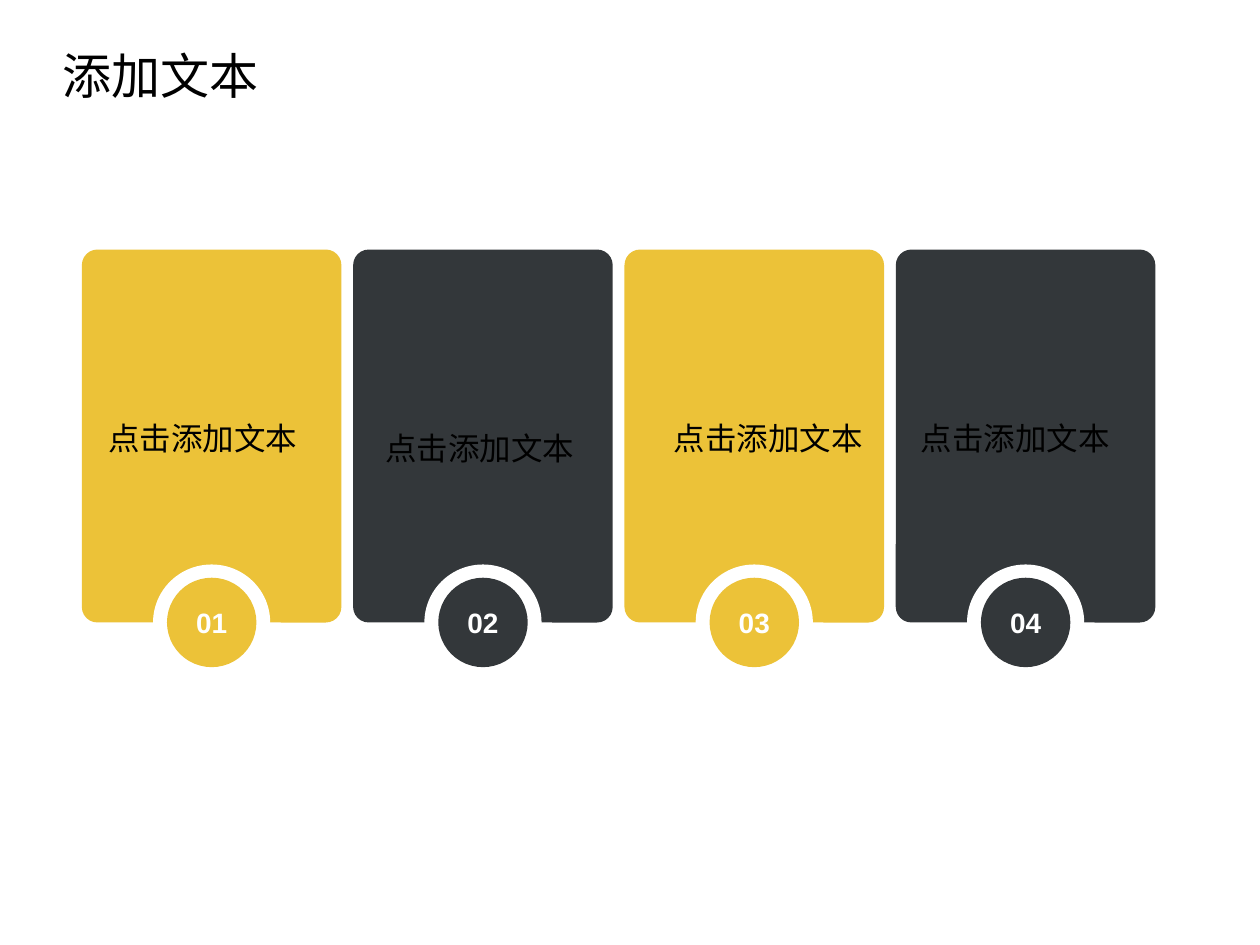
from dataclasses import dataclass

from pptx import Presentation
from pptx.dml.color import RGBColor
from pptx.enum.shapes import MSO_SHAPE
from pptx.enum.text import MSO_ANCHOR, MSO_AUTO_SIZE, PP_ALIGN
from pptx.oxml.ns import qn
from pptx.util import Inches, Pt

ROUND, OVAL = MSO_SHAPE.ROUNDED_RECTANGLE, MSO_SHAPE.OVAL
CENTER, MIDDLE = PP_ALIGN.CENTER, MSO_ANCHOR.MIDDLE
GROW = MSO_AUTO_SIZE.SHAPE_TO_FIT_TEXT


@dataclass(frozen=True)
class Theme:
    gold: str = "ECC238"
    dark: str = "33373A"
    white: str = "FFFFFF"
    black: str = "000000"
    title: int = 28
    label: int = 18
    number: int = 16
    latin: str = "Arial"
    han: str = "Noto Sans CJK SC"


class Deck:
    def __init__(self, slide, theme):
        self.slide = slide
        self.theme = theme

    def shape(self, parent, kind, mid_x, mid_y, width, height, color):
        """Draw a plain filled shape around its centre."""
        shape = parent.add_shape(
            kind, Inches(mid_x - width / 2), Inches(mid_y - height / 2),
            Inches(width), Inches(height))
        shape.shadow.inherit = False
        shape.fill.solid()
        shape.fill.fore_color.rgb = RGBColor.from_string(color)
        shape.line.fill.background()
        return shape

    def style(self, para, text, size, font, color, bold=False):
        para.text = text
        para.font.size = Pt(size)
        para.font.bold = bold
        para.font.color.rgb = RGBColor.from_string(color)
        para.font.name = font
        # East Asian text takes its typeface from a:ea
        props = para._p.pPr.find(qn("a:defRPr"))
        east = props.makeelement(qn("a:ea"), {"typeface": font})
        props.find(qn("a:latin")).addnext(east)

    def card(self, mid_x, mid_y, color):
        card = self.shape(self.slide.shapes, ROUND, mid_x, mid_y, 2.96, 2.06, color)
        card.adjustments[0] = 0.06
        card.rotation = 270

    def badge(self, mid_x, mid_y, number, color):
        group = self.slide.shapes.add_group_shape().shapes
        self.shape(group, OVAL, mid_x, mid_y, 0.93, 0.92, self.theme.white)
        dot = self.shape(group, OVAL, mid_x, mid_y, 0.71, 0.71, color)
        frame = dot.text_frame
        frame.vertical_anchor = MIDDLE
        para = frame.paragraphs[0]
        para.alignment = CENTER
        self.style(para, number, self.theme.number, self.theme.latin,
                   self.theme.white, bold=True)

    def text(self, left, top, width, height, text, size):
        box = self.slide.shapes.add_textbox(
            Inches(left), Inches(top), Inches(width), Inches(height))
        frame = box.text_frame
        frame.word_wrap = False
        frame.auto_size = GROW
        self.style(frame.paragraphs[0], text, size, self.theme.han, self.theme.black)


def main():
    prs = Presentation()
    prs.slide_width, prs.slide_height = Inches(10), Inches(7.5)
    theme = Theme()
    deck = Deck(prs.slides.add_slide(prs.slide_layouts[6]), theme)

    # Four equal columns in alternating colours
    first, last, count = 1.68, 8.14, 4
    step = (last - first) / (count - 1)
    columns = [(first + i * step, (theme.gold, theme.dark)[i % 2])
               for i in range(count)]

    # Cards, then the numbered badges on their lower edges
    for mid, color in columns:
        deck.card(mid, 3.46, color)
    for i, (mid, color) in enumerate(columns, 1):
        deck.badge(mid, 4.94, f"{i:02}", color)

    # Title and card labels
    deck.text(0.4, 0.31, 1.75, 0.57, "添加文本", theme.title)
    for left, top in ((0.76, 3.28), (2.96, 3.36), (5.25, 3.28), (7.21, 3.28)):
        deck.text(left, top, 1.7, 0.4, "点击添加文本", theme.label)

    prs.save("out.pptx")


if __name__ == "__main__":
    main()
